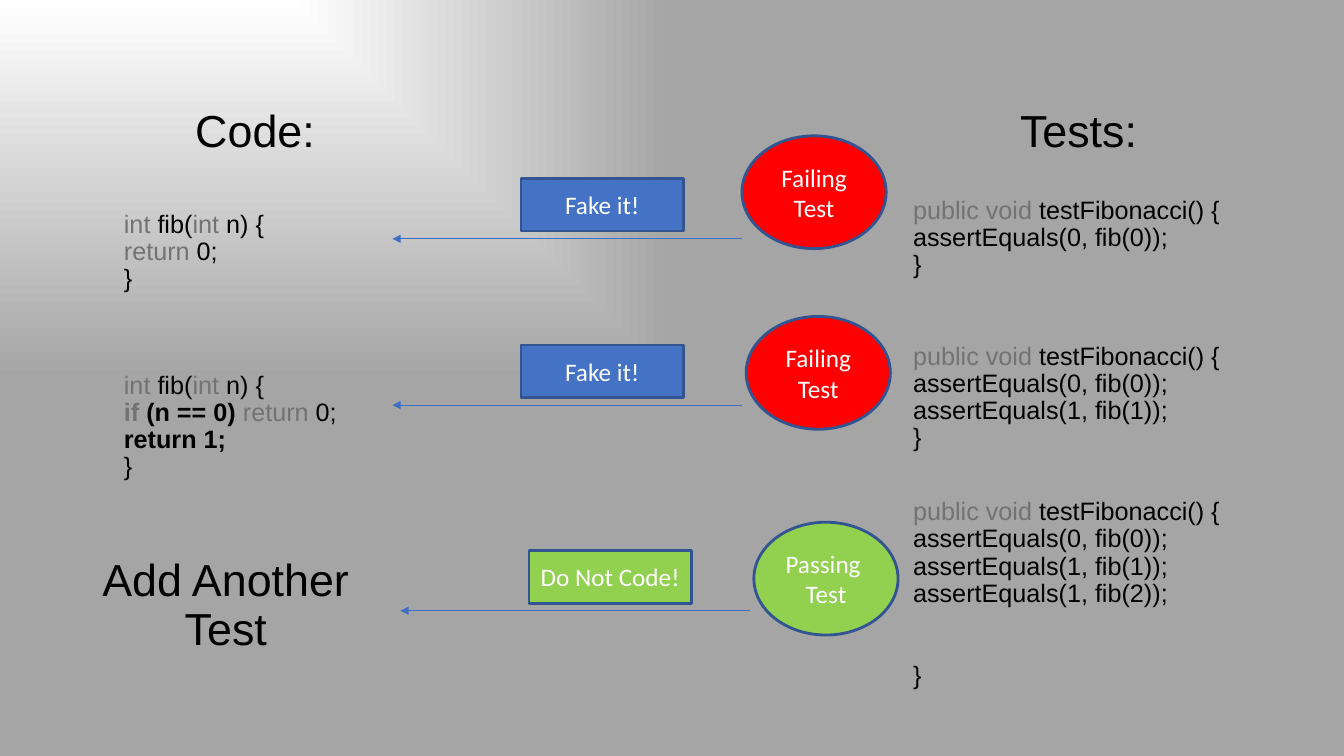
from dataclasses import dataclass

from lxml import etree
from pptx import Presentation
from pptx.dml.color import RGBColor as RGB
from pptx.enum.shapes import MSO_CONNECTOR as CONNECTOR, MSO_SHAPE as SHAPE
from pptx.enum.text import MSO_ANCHOR as ANCHOR, PP_ALIGN as ALIGN
from pptx.oxml.ns import qn
from pptx.util import Pt


@dataclass(frozen=True)
class Theme:
    code_font: str = "Arial"
    label_font: str = "Calibri"
    heading_size: int = 32
    body_size: int = 18
    black: str = "000000"
    keyword: str = "737373"
    white: str = "FFFFFF"
    gray: str = "A5A5A5"
    red: str = "FF0000"
    green: str = "92D050"
    blue: str = "4472C4"
    outline: str = "325491"
    arrow: str = "3F6FC3"


@dataclass(frozen=True)
class Run:
    text: str
    keyword: bool = False
    bold: bool = False


class TddSlide:
    BLOCK_SIZE = (250.6, 85.7)

    def __init__(self, slide, theme):
        self.slide, self.theme = slide, theme

    def background(self):
        """Fade from white in the top left corner to gray."""
        fill = self.slide.background.fill
        fill.gradient()
        for stop, color in zip(fill.gradient_stops, (self.theme.white, self.theme.gray)):
            stop.color.rgb = RGB.from_string(color)
        gradient = self.slide.element.find(".//" + qn("a:gradFill"))
        for linear in gradient.findall(qn("a:lin")):
            gradient.remove(linear)
        corner = etree.SubElement(gradient, qn("a:path"), {"path": "rect"})
        etree.SubElement(corner, qn("a:fillToRect"), r="100000", b="100000")

    def add_run(self, paragraph, text, font, size, color, bold=False):
        run = paragraph.add_run()
        run.text = text
        run.font.name, run.font.size, run.font.bold = font, Pt(size), bold
        run.font.color.rgb = RGB.from_string(color)

    def block(self, left, top, lines, size, align=ALIGN.LEFT, last_gap=0):
        """Write lines of runs, with last_gap points above the last line."""
        width, height = self.BLOCK_SIZE
        frame = self.slide.shapes.add_textbox(Pt(left), Pt(top), Pt(width), Pt(height)).text_frame
        frame.word_wrap, frame.vertical_anchor = True, ANCHOR.MIDDLE
        for number, runs in enumerate(lines):
            paragraph = frame.add_paragraph() if number else frame.paragraphs[0]
            paragraph.alignment, paragraph.line_spacing = align, 0.9
            for run in runs:
                color = self.theme.keyword if run.keyword else self.theme.black
                self.add_run(paragraph, run.text, self.theme.code_font, size, color, run.bold)
        if last_gap:
            paragraph.space_before = Pt(last_gap)

    def heading(self, left, top, text):
        self.block(left, top, [[Run(text)]], self.theme.heading_size, ALIGN.CENTER)

    def code(self, left, top, lines, last_gap=0):
        self.block(left, top, lines, self.theme.body_size, last_gap=last_gap)

    def label(self, kind, left, top, width, height, color, lines):
        shape = self.slide.shapes.add_shape(kind, Pt(left), Pt(top), Pt(width), Pt(height))
        shape.shadow.inherit = False
        shape.fill.solid()
        shape.fill.fore_color.rgb = RGB.from_string(color)
        shape.line.color.rgb = RGB.from_string(self.theme.outline)
        shape.line.width = Pt(2)
        frame = shape.text_frame
        frame.word_wrap, frame.vertical_anchor = True, ANCHOR.MIDDLE
        for number, line in enumerate(lines):
            paragraph = frame.add_paragraph() if number else frame.paragraphs[0]
            paragraph.alignment = ALIGN.CENTER
            self.add_run(paragraph, line, self.theme.label_font, self.theme.body_size, self.theme.white)

    def arrow(self, start, end, y):
        line = self.slide.shapes.add_connector(CONNECTOR.STRAIGHT, Pt(start), Pt(y), Pt(end), Pt(y))
        line.line.color.rgb = RGB.from_string(self.theme.arrow)
        line.line.width = Pt(0.75)
        etree.SubElement(line.line._get_or_add_ln(), qn("a:tailEnd"), type="triangle")
        etree.SubElement(line.element.spPr, qn("a:effectLst"))

    def step(self, arrow_y, shift, result_at, result, result_color, action, action_color):
        """Draw a test result, the arrow to the code and the action above it."""
        self.label(SHAPE.OVAL, *result_at, 103, 80.6, result_color, result)
        self.arrow(530 + shift, 280.3 + shift, arrow_y)
        self.label(SHAPE.RECTANGLE, 372.2 + shift, arrow_y - 43, 116, 37.5, action_color, [action])


def main():
    deck = Presentation()
    deck.slide_width, deck.slide_height = Pt(960), Pt(540)
    theme = Theme()
    page = TddSlide(deck.slides.add_slide(deck.slide_layouts[6]), theme)
    page.background()

    tests_left, code_left = 645.1, 81.4
    page.heading(tests_left, 51.8, "Tests:")
    page.heading(56.9, 51.8, "Code:")
    page.heading(36, 390.2, "Add Another Test")

    closing = [Run("}")]
    test_opening = [Run("public void ", keyword=True), Run("testFibonacci() {")]
    asserts = [[Run(f"assertEquals({value}, fib({n}));")] for n, value in enumerate((0, 1, 1))]
    for count, (top, last_gap) in enumerate(((127.4, 0), (241.2, 0), (381.6, 39)), start=1):
        page.code(tests_left, top, [test_opening, *asserts[:count], closing], last_gap)

    fib_opening = [Run("int ", keyword=True), Run("fib("), Run("int ", keyword=True), Run("n) {")]
    return_zero = [Run("return ", keyword=True), Run("0;")]
    if_zero = [Run("if ", keyword=True, bold=True), Run("(n == 0) ", bold=True)]
    page.code(code_left, 137.5, [fib_opening, return_zero, closing])
    page.code(code_left, 262.1,
              [fib_opening, if_zero + return_zero, [Run("return 1;", bold=True)], closing])

    failing, passing = ["Failing Test"], ["Passing ", "Test"]
    page.step(170.6, 0, (530, 97), failing, theme.red, "Fake it!", theme.blue)
    page.step(289.4, 0, (533, 226), failing, theme.red, "Fake it!", theme.blue)
    page.step(436.3, 5.7, (538.5, 373), passing, theme.green, "Do Not Code!", theme.green)
    deck.save("out.pptx")


if __name__ == "__main__":
    main()
